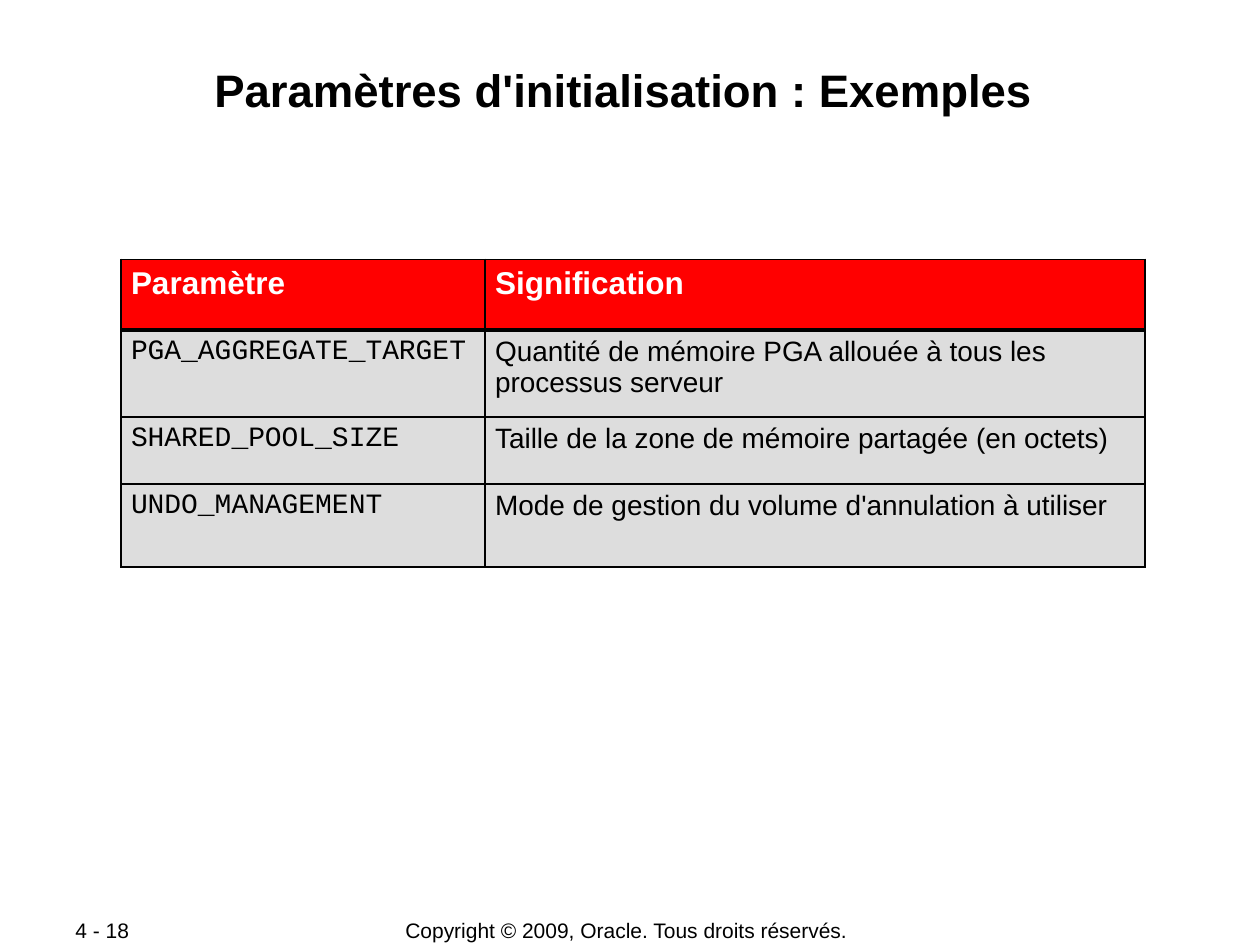
from pptx import Presentation
from pptx.dml.color import RGBColor
from pptx.enum.text import MSO_ANCHOR as Anchor, PP_ALIGN as Align
from pptx.oxml.ns import qn
from pptx.util import Inches, Pt
from lxml.etree import SubElement as Sub

TITLE = "Paramètres d'initialisation : Exemples "
HEAD = ("Paramètre", "Signification")
BODY = [
    ("PGA_AGGREGATE_TARGET", "Quantité de mémoire PGA allouée à tous les processus serveur"),
    ("SHARED_POOL_SIZE", "Taille de la zone de mémoire partagée (en octets)"),
    ("UNDO_MANAGEMENT", "Mode de gestion du volume d'annulation à utiliser"),
]
FOOT = [
    ("Copyright © 2009, Oracle. Tous droits réservés. ", (2.75, 7.28, 4.49, 0.21), Align.CENTER),
    ("4 - 18 ", (0.5, 7.28, 1.06, 0.2), Align.LEFT),
]
COLS = (2.89, 5.24)
ROWS = (0.56, 0.69, 0.53, 0.66)
THIN, THICK = 1.08, 2.21


def tint(code):
    return RGBColor.from_string(code)


def place(shape, box):
    shape.left, shape.top, shape.width, shape.height = map(Inches, box)


def write(frame, text, size, font="Arial", color="000000", bold=False, align=Align.LEFT):
    para = frame.paragraphs[0]
    para.alignment = align
    para.space_before = Pt(0)
    run = para.add_run()
    run.text = text
    run.font.size = Pt(size)
    run.font.name = font
    run.font.bold = bold
    run.font.color.rgb = tint(color)


def border(cell, sides):
    props = cell._tc.get_or_add_tcPr()
    for side, width in sides.items():
        line = Sub(props, qn(f"a:ln{side}"), w=str(Pt(width)))
        Sub(Sub(line, qn("a:solidFill")), qn("a:srgbClr"), val="000000")


def add_grid(slide):
    data = [HEAD, *BODY]
    size = (sum(COLS), sum(ROWS))
    frame = slide.shapes.add_table(len(data), len(HEAD), *map(Inches, (0.96, 2.06, *size)))
    table = frame.table
    table.horz_banding = False
    for col, width in zip(table.columns, COLS):
        col.width = Inches(width)
    for r, (row, high, texts) in enumerate(zip(table.rows, ROWS, data)):
        row.height = Inches(high)
        top = r == 0
        for c, (cell, text) in enumerate(zip(row.cells, texts)):
            border(cell, {"L": THIN, "R": THIN,
                          "T": THICK if r == 1 else THIN,
                          "B": THICK if top else THIN})
            cell.fill.solid()
            cell.fill.fore_color.rgb = tint("FF0000" if top else "DDDDDD")
            cell.margin_left = cell.margin_right = Inches(0.08)
            cell.margin_top = cell.margin_bottom = Inches(0.05)
            if top:
                write(cell.text_frame, text, 18, color="FFFFFF", bold=True)
            else:
                write(cell.text_frame, text, 16, font="Arial" if c else "Courier New")


def main():
    deck = Presentation()
    deck.slide_width, deck.slide_height = Inches(10), Inches(7.5)
    slide = deck.slides.add_slide(deck.slide_layouts[5])

    title = slide.shapes.title
    place(title, (0.67, 0.48, 8.66, 0.96))
    frame = title.text_frame
    frame.vertical_anchor = Anchor.TOP
    frame.margin_left = frame.margin_right = Inches(0.01)
    frame.margin_top = frame.margin_bottom = Inches(0.01)
    write(frame, TITLE, 26, bold=True, align=Align.CENTER)

    add_grid(slide)

    for text, box, align in FOOT:
        note = slide.shapes.add_textbox(*map(Inches, box))
        note.text_frame.word_wrap = True
        note.text_frame.vertical_anchor = Anchor.MIDDLE
        write(note.text_frame, text, 12, align=align)

    deck.save("out.pptx")


if __name__ == "__main__":
    main()
